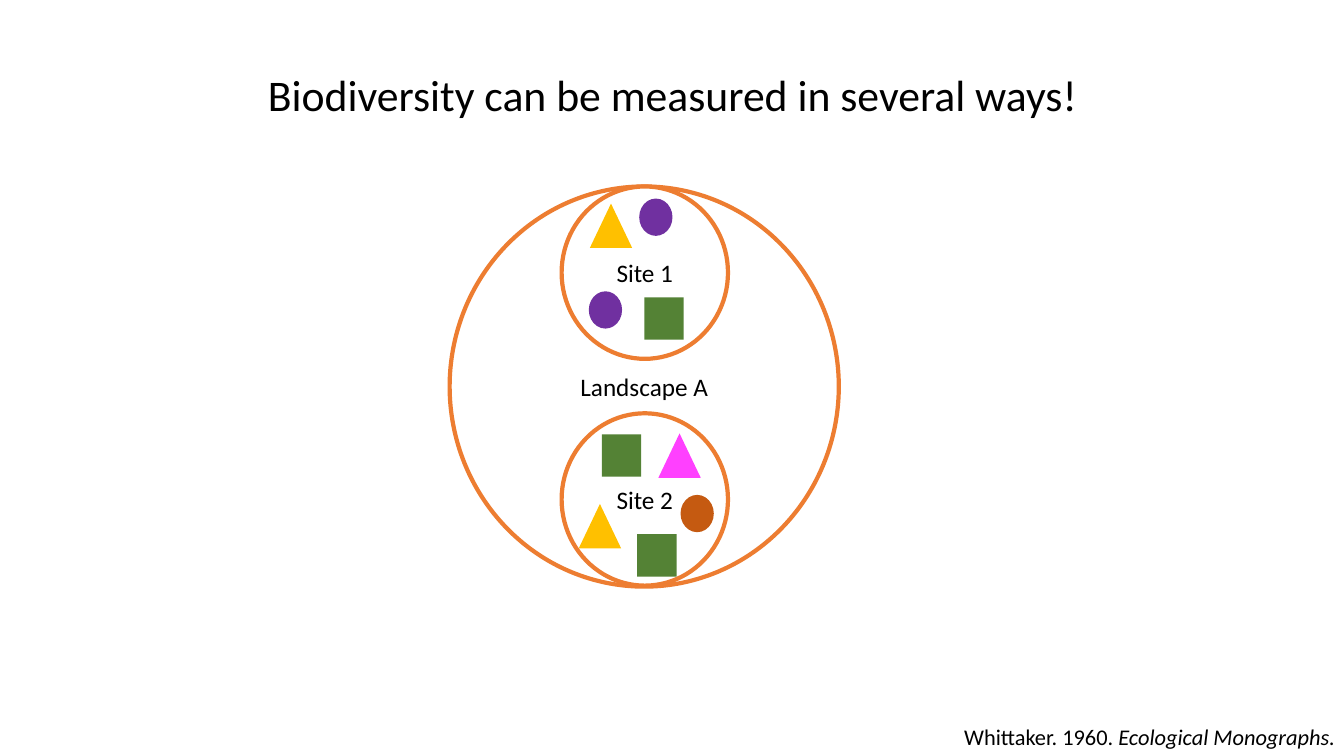
"""Build a slide on measuring biodiversity at two sites within a landscape."""
from typing import NamedTuple

from pptx import Presentation
from pptx.dml.color import RGBColor
from pptx.enum.shapes import MSO_SHAPE
from pptx.enum.text import MSO_ANCHOR, PP_ALIGN
from pptx.util import Inches, Pt

OVAL = MSO_SHAPE.OVAL
TRIANGLE = MSO_SHAPE.ISOSCELES_TRIANGLE
SQUARE = MSO_SHAPE.RECTANGLE
MIDDLE, TOP = MSO_ANCHOR.MIDDLE, MSO_ANCHOR.TOP
CENTER, RIGHT = PP_ALIGN.CENTER, PP_ALIGN.RIGHT

FONT = "Calibri"
COLORS = {
    "text": "000000",
    "paper": "FFFFFF",
    "outline": "ED7D31",
    "gold": "FFC000",
    "purple": "7030A0",
    "green": "548235",
    "pink": "FF40FF",
    "rust": "C55A11",
}
SPECIES_SIZES = {TRIANGLE: (0.42, 0.44), OVAL: (0.33, 0.37), SQUARE: (0.39, 0.42)}


class Area(NamedTuple):
    label: str
    left: float
    top: float
    width: float
    height: float


class Species(NamedTuple):
    form: MSO_SHAPE
    color: str
    left: float
    top: float


AREAS = [
    Area("Landscape A", 4.46, 1.85, 3.86, 3.97),
    Area("Site 2", 5.57, 4.1, 1.65, 1.71),
    Area("Site 1", 5.57, 1.85, 1.65, 1.71),
]
SPECIES = [
    Species(TRIANGLE, "gold", 5.85, 2.02),
    Species(TRIANGLE, "gold", 5.74, 5.0),
    Species(OVAL, "purple", 5.84, 2.89),
    Species(OVAL, "purple", 6.34, 1.97),
    Species(SQUARE, "green", 6.39, 2.95),
    Species(SQUARE, "green", 5.97, 4.31),
    Species(TRIANGLE, "pink", 6.53, 4.3),
    Species(SQUARE, "green", 6.32, 5.3),
    Species(OVAL, "rust", 6.75, 4.91),
]


def rgb(name: str) -> RGBColor:
    return RGBColor.from_string(COLORS[name])


def style_paragraph(para, size: float, align: PP_ALIGN) -> None:
    para.alignment = align
    para.font.name = FONT
    para.font.size = Pt(size)
    para.font.color.rgb = rgb("text")


def add_text(page, left: float, top: float, width: float, height: float,
             size: float, align: PP_ALIGN, anchor: MSO_ANCHOR):
    box = page.shapes.add_textbox(Inches(left), Inches(top), Inches(width), Inches(height))
    box.text_frame.word_wrap = True
    box.text_frame.vertical_anchor = anchor
    para = box.text_frame.paragraphs[0]
    style_paragraph(para, size, align)
    return para


def add_filled(page, form: MSO_SHAPE, color: str, left: float, top: float,
               width: float, height: float):
    shape = page.shapes.add_shape(form, Inches(left), Inches(top), Inches(width), Inches(height))
    shape.shadow.inherit = False
    shape.fill.solid()
    shape.fill.fore_color.rgb = rgb(color)
    shape.line.fill.background()
    return shape


def add_area(page, area: Area) -> None:
    circle = add_filled(page, OVAL, "paper", area.left, area.top, area.width, area.height)
    circle.line.color.rgb = rgb("outline")
    circle.line.width = Pt(3)
    circle.text_frame.vertical_anchor = MIDDLE
    para = circle.text_frame.paragraphs[0]
    para.text = area.label
    style_paragraph(para, 18, CENTER)


def add_species(page, species: Species) -> None:
    width, height = SPECIES_SIZES[species.form]
    add_filled(page, species.form, species.color, species.left, species.top, width, height)


def main() -> None:
    deck = Presentation()
    deck.slide_width, deck.slide_height = Inches(13.33), Inches(7.5)
    page = deck.slides.add_slide(deck.slide_layouts[6])

    title = add_text(page, 1.59, 0.24, 10.16, 1.45, 31.2, CENTER, MIDDLE)
    title.text = "Biodiversity can be measured in several ways!"
    title.line_spacing = 0.9

    for area in AREAS:
        add_area(page, area)
    for species in SPECIES:
        add_species(page, species)

    citation = add_text(page, 6.67, 7.13, 6.67, 0.37, 16, RIGHT, TOP)
    citation.add_run().text = "Whittaker. 1960. "
    journal = citation.add_run()
    journal.text = "Ecological Monographs."
    journal.font.italic = True

    deck.save("out.pptx")


if __name__ == "__main__":
    main()
